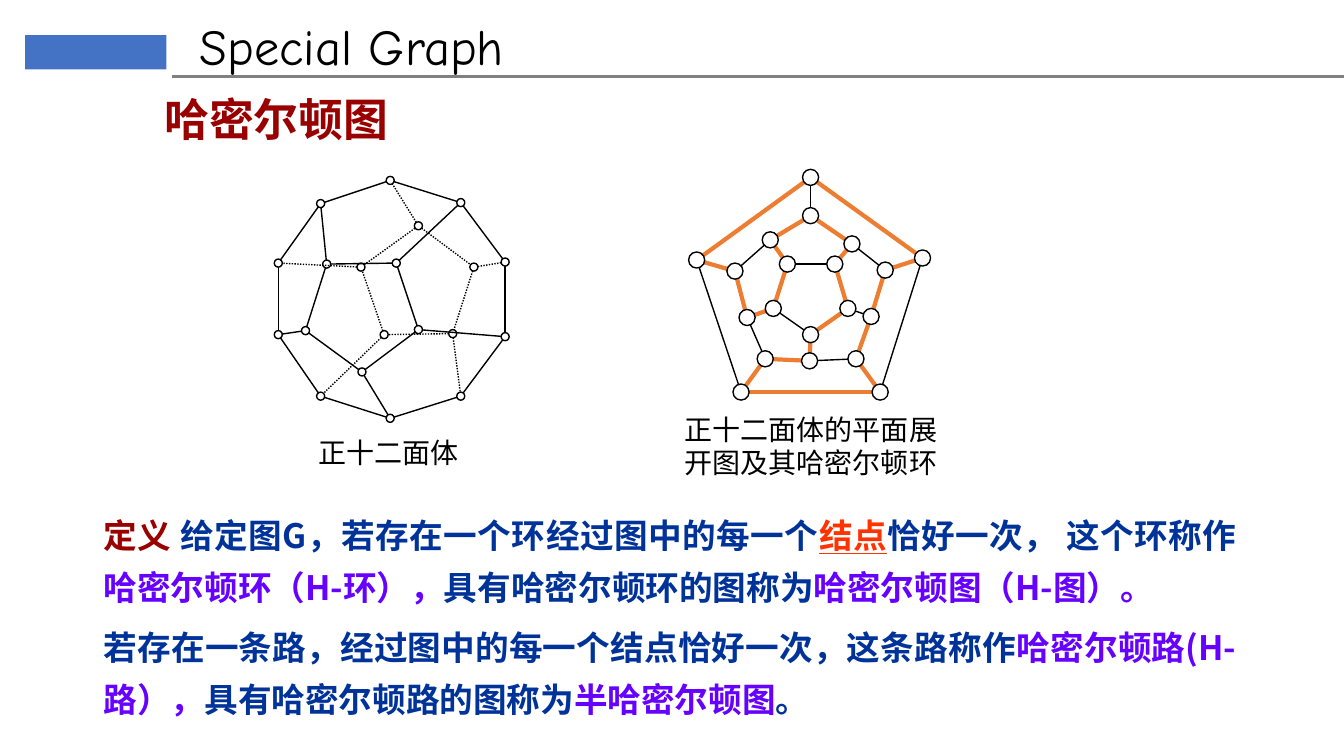
from dataclasses import dataclass
from math import hypot

from lxml.etree import SubElement
from pptx import Presentation
from pptx.dml.color import RGBColor
from pptx.enum.dml import MSO_LINE
from pptx.enum.shapes import MSO_CONNECTOR, MSO_SHAPE
from pptx.enum.text import MSO_ANCHOR as ANCHOR, PP_ALIGN as ALIGN
from pptx.oxml.ns import qn
from pptx.util import Emu, Pt

PX = 9144  # 100 px to the inch
COLORS = {
    "black": "000000", "gray": "808080", "blue": "4472C4", "cycle": "ED7D31",
    "maroon": "990000", "navy": "003399", "red": "FF3300", "violet": "6600FF",
}
CJK = "Noto Sans CJK SC"


@dataclass(frozen=True)
class Node:
    x: int
    y: int
    radius: int


@dataclass(frozen=True)
class Edge:
    start: Node
    end: Node
    color: str = "black"
    width: int = 1
    dotted: bool = False


@dataclass(frozen=True)
class Run:
    text: str
    color: str
    underline: bool = False


@dataclass(frozen=True)
class TextBox:
    box: tuple[int, int, int, int]
    paragraphs: list[list[Run]]
    size: int
    font: str = CJK
    bold: bool = False
    inset: tuple[int, int] = (10, 5)
    anchor: ANCHOR = ANCHOR.TOP
    align: ALIGN = ALIGN.LEFT
    line_spacing: float = 1.0
    space_before: int = 0


def px(n: float) -> Emu:
    return Emu(round(n * PX))


def rgb(name: str) -> RGBColor:
    return RGBColor.from_string(COLORS[name])


def add_line(shapes, x1: float, y1: float, x2: float, y2: float,
             color: str, width: int, dotted: bool = False) -> None:
    c = shapes.add_connector(MSO_CONNECTOR.STRAIGHT, px(x1), px(y1), px(x2), px(y2))
    c.line.color.rgb = rgb(color)
    c.line.width = Pt(width)
    if dotted:
        c.line.dash_style = MSO_LINE.ROUND_DOT
    SubElement(c.element.spPr, qn("a:effectLst"))


def add_edge(shapes, edge: Edge) -> None:
    """Join two nodes from rim to rim."""
    a, b = edge.start, edge.end
    dx, dy = b.x - a.x, b.y - a.y
    length = hypot(dx, dy)
    ux, uy = dx / length, dy / length
    add_line(shapes, a.x + ux * a.radius, a.y + uy * a.radius,
             b.x - ux * b.radius, b.y - uy * b.radius,
             edge.color, edge.width, edge.dotted)


def add_node(shapes, node: Node) -> None:
    d = px(2 * node.radius)
    sp = shapes.add_shape(MSO_SHAPE.OVAL, px(node.x - node.radius),
                          px(node.y - node.radius), d, d)
    sp.shadow.inherit = False
    sp.fill.background()
    sp.line.color.rgb = rgb("black")
    sp.line.width = Pt(1)


def add_header_block(shapes) -> None:
    sp = shapes.add_shape(MSO_SHAPE.RECTANGLE, px(25), px(35), px(140), px(34))
    sp.shadow.inherit = False
    sp.fill.solid()
    sp.fill.fore_color.rgb = rgb("blue")
    sp.line.fill.background()


def add_graph(shapes, nodes: list[Node], edges: list[Edge]) -> None:
    for edge in edges:
        add_edge(shapes, edge)
    for node in nodes:
        add_node(shapes, node)


def add_text(shapes, t: TextBox) -> None:
    tf = shapes.add_textbox(*map(px, t.box)).text_frame
    tf.word_wrap = True
    tf.vertical_anchor = t.anchor
    tf.margin_left = tf.margin_right = px(t.inset[0])
    tf.margin_top = tf.margin_bottom = px(t.inset[1])
    for i, runs in enumerate(t.paragraphs):
        p = tf.add_paragraph() if i else tf.paragraphs[0]
        p.alignment = t.align
        p.line_spacing = t.line_spacing
        p.space_before = Pt(t.space_before)
        for run in runs:
            r = p.add_run()
            r.text = run.text
            r.font.size = Pt(t.size)
            r.font.bold = t.bold
            r.font.underline = run.underline
            r.font.color.rgb = rgb(run.color)
            r.font.name = t.font
            SubElement(r.font._element, qn("a:ea"), typeface=t.font)


def ring(radius: int, *centres: tuple[int, int]) -> list[Node]:
    return [Node(x, y, radius) for x, y in centres]


def closed(nodes: list[Node]) -> list[tuple[Node, Node]]:
    """Pairs of neighbours around a ring."""
    return list(zip(nodes, nodes[1:] + nodes[:1]))


def add_dodecahedron(shapes) -> None:
    rim = ring(4, (387, 179), (457, 201), (501, 260), (501, 334), (457, 393),
               (387, 415), (318, 393), (276, 332), (276, 261), (318, 202))
    front = ring(4, (324, 262), (393, 261), (415, 327), (359, 369), (303, 328))
    back = ring(4, (415, 224), (470, 265), (449, 331), (381, 332), (358, 265))
    solid = closed(rim) + closed(front) + list(zip(front, rim[9:] + rim[1:9:2]))
    hidden = closed(back) + list(zip(back, rim[::2]))
    edges = [Edge(a, b) for a, b in solid]
    edges += [Edge(a, b, dotted=True) for a, b in hidden]
    add_graph(shapes, rim + front + back, edges)


def add_planar_graph(shapes) -> None:
    """Flattened dodecahedron with its Hamiltonian cycle highlighted."""
    o = ring(8, (804, 176), (915, 256), (873, 389), (735, 389), (691, 258))
    m = ring(8, (804, 214), (845, 242), (878, 268), (864, 314), (849, 356),
             (803, 358), (759, 356), (741, 315), (729, 269), (764, 238))
    i = ring(8, (828, 262), (841, 306), (804, 332), (767, 306), (781, 262))
    cycle = [o[0], o[1], m[2], m[3], m[4], o[2], o[3], m[6], m[5], i[2],
             i[1], i[0], m[1], m[0], m[9], i[4], i[3], m[7], m[8], o[4]]
    on_cycle = {frozenset(pair) for pair in closed(cycle)}
    pairs = closed(o) + closed(m) + closed(i)
    pairs += list(zip(o, m[::2])) + list(zip(i, m[1::2]))
    edges = [Edge(a, b, "cycle", 3) if frozenset((a, b)) in on_cycle else Edge(a, b)
             for a, b in pairs]
    add_graph(shapes, o + m + i, edges)


DEFINITIONS = [
    [Run("定义 ", "maroon"),
     Run("给定图G，若存在一个环经过图中的每一个", "navy"),
     Run("结点", "red", underline=True),
     Run("恰好一次， 这个环称作", "navy"),
     Run("哈密尔顿环（H-环），", "violet"),
     Run("具有哈密尔顿环的图称为", "navy"),
     Run("哈密尔顿图（H-图）。", "violet")],
    [Run("若存在一条路，经过图中的每一个结点恰好一次，这条路称作", "navy"),
     Run("哈密尔顿路(H-路），", "violet"),
     Run("具有哈密尔顿路的图称为", "navy"),
     Run("半哈密尔顿图", "violet"),
     Run("。", "navy")],
]
TEXTS = [
    TextBox((188, 10, 862, 71), [[Run("Special Graph", "black")]], 36, "Comic Neue"),
    TextBox((93, 494, 1143, 248), DEFINITIONS, 24, bold=True, align=ALIGN.JUSTIFY,
            line_spacing=1.3, space_before=5),
    TextBox((143, 67, 850, 102), [[Run(" 哈密尔顿图", "maroon")]], 32, bold=True,
            anchor=ANCHOR.MIDDLE),
    TextBox((316, 432, 150, 34), [[Run("正十二面体", "black")]], 20, inset=(0, 0)),
    TextBox((679, 409, 258, 68), [[Run("正十二面体的平面展开图及其哈密尔顿环", "black")]],
            20, inset=(0, 0)),
]


def main() -> None:
    prs = Presentation()
    prs.slide_width, prs.slide_height = px(1333), px(750)
    shapes = prs.slides.add_slide(prs.slide_layouts[6]).shapes
    add_header_block(shapes)
    add_line(shapes, 171, 76, 1333, 76, "gray", 2)
    for text in TEXTS:
        add_text(shapes, text)
    add_dodecahedron(shapes)
    add_planar_graph(shapes)
    prs.save("out.pptx")


if __name__ == "__main__":
    main()
